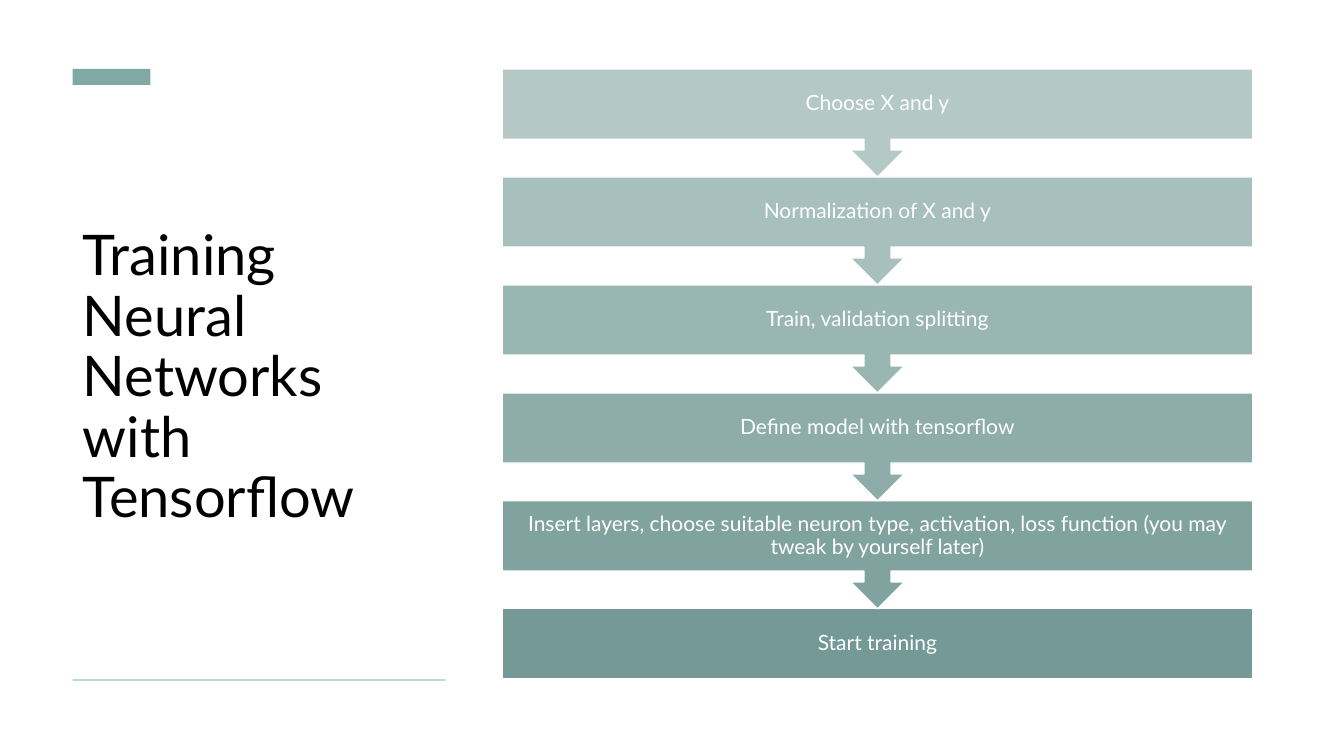
from pptx import Presentation
from pptx.dml.color import RGBColor
from pptx.enum.shapes import MSO_SHAPE
from pptx.enum.text import MSO_ANCHOR, MSO_AUTO_SIZE, PP_ALIGN
from pptx.util import Pt

THEME = {
    "font": "Lato",
    "title_size": Pt(40),
    "step_size": Pt(15),
    "title": RGBColor.from_string("000000"),
    "white": RGBColor.from_string("FFFFFF"),
    "accent": RGBColor.from_string("80A9A5"),
    "rule": RGBColor.from_string("BDDBCA"),
}
STEPS = [
    ("Choose X and y", "B4C9C6"),
    ("Normalization of X and y", "A7BFBD"),
    ("Train, validation splitting", "9AB6B3"),
    ("Define model with tensorflow", "8EACA9"),
    ("Insert layers, choose suitable neuron type, activation, loss function "
     "(you may tweak by yourself later)", "81A39F"),
    ("Start training", "749996"),
]


def add_block(kind, left, top, width, height, color):
    shape = slide.shapes.add_shape(kind, Pt(left), Pt(top), Pt(width), Pt(height))
    shape.shadow.inherit = False
    shape.fill.solid()
    shape.fill.fore_color.rgb = color
    shape.line.fill.background()
    return shape


def write_text(shape, text, size, color, alignment, inset):
    frame = shape.text_frame
    frame.text = text
    frame_format = {
        "word_wrap": True, "auto_size": MSO_AUTO_SIZE.NONE,
        "vertical_anchor": MSO_ANCHOR.MIDDLE,
        "margin_left": inset, "margin_right": inset,
    }
    for name, value in frame_format.items():
        setattr(frame, name, value)
    paragraph = frame.paragraphs[0]
    paragraph.alignment = alignment
    paragraph.line_spacing = 0.9
    font = paragraph.runs[0].font
    for name, value in {"name": THEME["font"], "size": size}.items():
        setattr(font, name, value)
    font.color.rgb = color


presentation = Presentation()
presentation.slide_width = Pt(960)
presentation.slide_height = Pt(540)
slide = presentation.slides.add_slide(presentation.slide_layouts[5])

# Title
title = slide.shapes.title
title_box = {"left": Pt(52), "top": Pt(75.6), "width": Pt(266.4), "height": Pt(389.5)}
for name, value in title_box.items():
    setattr(title, name, value)
write_text(title, "Training Neural Networks with Tensorflow",
           THEME["title_size"], THEME["title"], PP_ALIGN.LEFT, Pt(7.2))

# Accent bar and bottom rule
add_block(MSO_SHAPE.RECTANGLE, 52, 49.2, 55.5, 11.5, THEME["accent"])
add_block(MSO_SHAPE.RECTANGLE, 52, 485, 266.4, 1.44, THEME["rule"])

# Process steps, last one first so that each arrow lies over the next box
step_left, step_top, step_width, step_pitch = 358.7, 49.3, 536.2, 77.1
box_height, callout_height = 50.2, 77.2
last = len(STEPS) - 1
for index in range(last, -1, -1):
    text, color = STEPS[index]
    if index == last:
        kind, height = MSO_SHAPE.RECTANGLE, box_height
    else:
        kind, height = MSO_SHAPE.DOWN_ARROW_CALLOUT, callout_height
    step = add_block(kind, step_left, step_top + index * step_pitch,
                     step_width, height, RGBColor.from_string(color))
    step.line.color.rgb = THEME["white"]
    step.line.width = Pt(1)
    write_text(step, text, THEME["step_size"], THEME["white"], PP_ALIGN.CENTER, Pt(8.4))

presentation.save("out.pptx")
